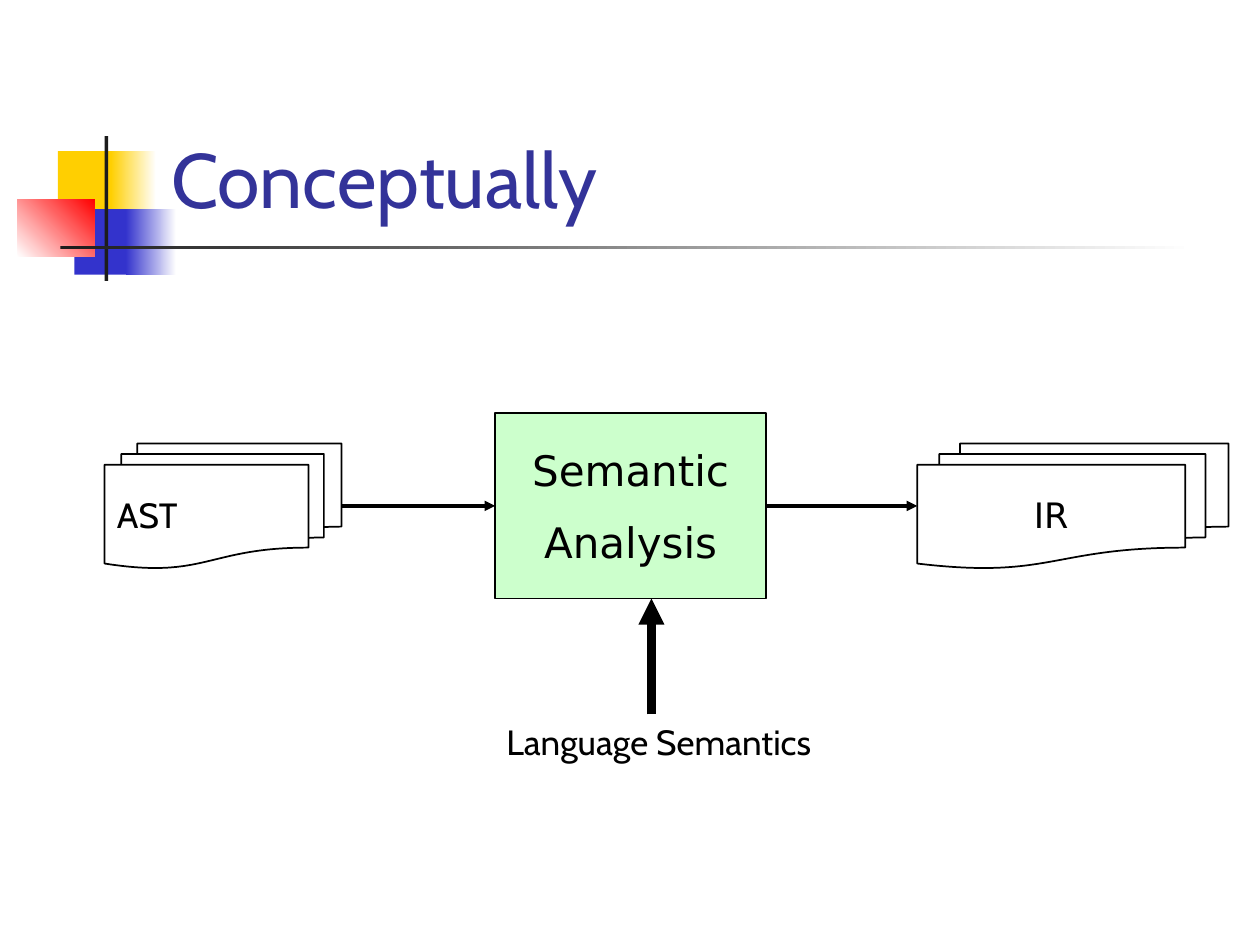
from typing import NamedTuple, Optional

from lxml.etree import SubElement
from pptx import Presentation
from pptx.dml.color import RGBColor
from pptx.enum.shapes import MSO_CONNECTOR, MSO_SHAPE
from pptx.enum.text import MSO_ANCHOR, PP_ALIGN
from pptx.oxml.ns import qn
from pptx.util import Inches, Pt

BLACK, WHITE = "000000", "FFFFFF"
YELLOW, BLUE, RED, DARK = "FFCF01", "3333CC", "FF0000", "1C1C1C"
TOP, LEFT, BOTTOM, RIGHT = range(4)


class Box(NamedTuple):
    left: float
    top: float
    width: float
    height: float


class Ornament(NamedTuple):
    box: Box
    start: str
    end: Optional[str] = None
    angle: float = 0


ORNAMENTS = [
    Ornament(Box(0.46, 1.2, 0.48, 0.52), YELLOW),
    Ornament(Box(0.88, 1.2, 0.36, 0.52), YELLOW, WHITE),
    Ornament(Box(0.59, 1.66, 0.46, 0.52), BLUE),
    Ornament(Box(1, 1.66, 0.4, 0.52), BLUE, WHITE),
    Ornament(Box(0.14, 1.58, 0.61, 0.46), WHITE, RED, 45),
    Ornament(Box(0.83, 1.08, 0.03, 1.15), DARK),
    Ornament(Box(0.48, 1.95, 9, 0.03), DARK, WHITE),
]


def rgb(color: str) -> RGBColor:
    return RGBColor.from_string(color)


def add_preset(slide, kind: MSO_SHAPE, box: Box):
    shape = slide.shapes.add_shape(kind, *map(Inches, box))
    shape.shadow.inherit = False
    return shape


def add_ornament(slide, ornament: Ornament) -> None:
    shape = add_preset(slide, MSO_SHAPE.RECTANGLE, ornament.box)
    shape.line.fill.background()
    if ornament.end is None:
        shape.fill.solid()
        shape.fill.fore_color.rgb = rgb(ornament.start)
        return
    shape.fill.gradient()
    shape.fill.gradient_angle = ornament.angle
    colors = (ornament.start, ornament.end)
    for position, (stop, color) in enumerate(zip(shape.fill.gradient_stops, colors)):
        stop.position = position
        stop.color.rgb = rgb(color)


def write(shape, text: str, *, size: float, font: str = "Cabin", color: str = BLACK,
          align: PP_ALIGN = PP_ALIGN.LEFT, anchor: MSO_ANCHOR = MSO_ANCHOR.MIDDLE) -> None:
    """Fill a shape with one paragraph per line, half a line apart."""
    frame = shape.text_frame
    frame.word_wrap = True
    frame.vertical_anchor = anchor
    frame.text = text
    for index, paragraph in enumerate(frame.paragraphs):
        paragraph.alignment = align
        if index:
            paragraph.space_before = Pt(size / 2)
        paragraph.font.size = Pt(size)
        paragraph.font.name = font
        paragraph.font.color.rgb = rgb(color)


def add_label(slide, box: Box, text: str, **style) -> None:
    write(slide.shapes.add_textbox(*map(Inches, box)), text, **style)


def add_stage(slide, kind: MSO_SHAPE, box: Box, text: str,
              fill: Optional[str] = None, **style):
    stage = add_preset(slide, kind, box)
    if fill:
        stage.fill.solid()
        stage.fill.fore_color.rgb = rgb(fill)
    else:
        stage.fill.background()
    stage.line.color.rgb = rgb(BLACK)
    stage.line.width = Pt(1)
    write(stage, text, **style)
    return stage


def add_arrow(slide, width: float, start: tuple = (0, 0), end: tuple = (0, 0)):
    arrow = slide.shapes.add_connector(
        MSO_CONNECTOR.STRAIGHT, *map(Inches, (*start, *end)))
    arrow.line.color.rgb = rgb(BLACK)
    arrow.line.width = Pt(width)
    SubElement(arrow.line._get_or_add_ln(), qn("a:tailEnd"), type="triangle")
    SubElement(arrow._element.spPr, qn("a:effectLst"))
    return arrow


def join(slide, source, target) -> None:
    arrow = add_arrow(slide, 2)
    arrow.begin_connect(source, RIGHT)
    arrow.end_connect(target, LEFT)


def main() -> None:
    deck = Presentation()
    deck.slide_width, deck.slide_height = Inches(10), Inches(7.5)
    slide = deck.slides.add_slide(deck.slide_layouts[6])

    for ornament in ORNAMENTS:
        add_ornament(slide, ornament)
    add_label(slide, Box(1.26, 0.23, 8.52, 1.6), "Conceptually",
              size=44, color="333399", anchor=MSO_ANCHOR.BOTTOM)

    ast = add_stage(slide, MSO_SHAPE.FLOWCHART_MULTIDOCUMENT,
                    Box(0.83, 3.52, 1.88, 0.99), "AST", size=20)
    ir = add_stage(slide, MSO_SHAPE.FLOWCHART_MULTIDOCUMENT,
                   Box(7.28, 3.52, 2.47, 0.99), "IR",
                   size=20, font="DejaVu Sans", align=PP_ALIGN.CENTER)
    analysis = add_stage(slide, MSO_SHAPE.FLOWCHART_PROCESS,
                         Box(3.93, 3.28, 2.15, 1.47), "Semantic\nAnalysis", fill="CCFFCC",
                         size=24, font="DejaVu Sans", align=PP_ALIGN.CENTER)
    join(slide, ast, analysis)
    join(slide, analysis, ir)

    add_label(slide, Box(3.92, 5.67, 3.08, 0.43), "Language Semantics",
              size=20, anchor=MSO_ANCHOR.TOP)
    add_arrow(slide, 5, start=(5.17, 5.67), end=(5.17, 4.75))

    deck.save("out.pptx")


if __name__ == "__main__":
    main()
